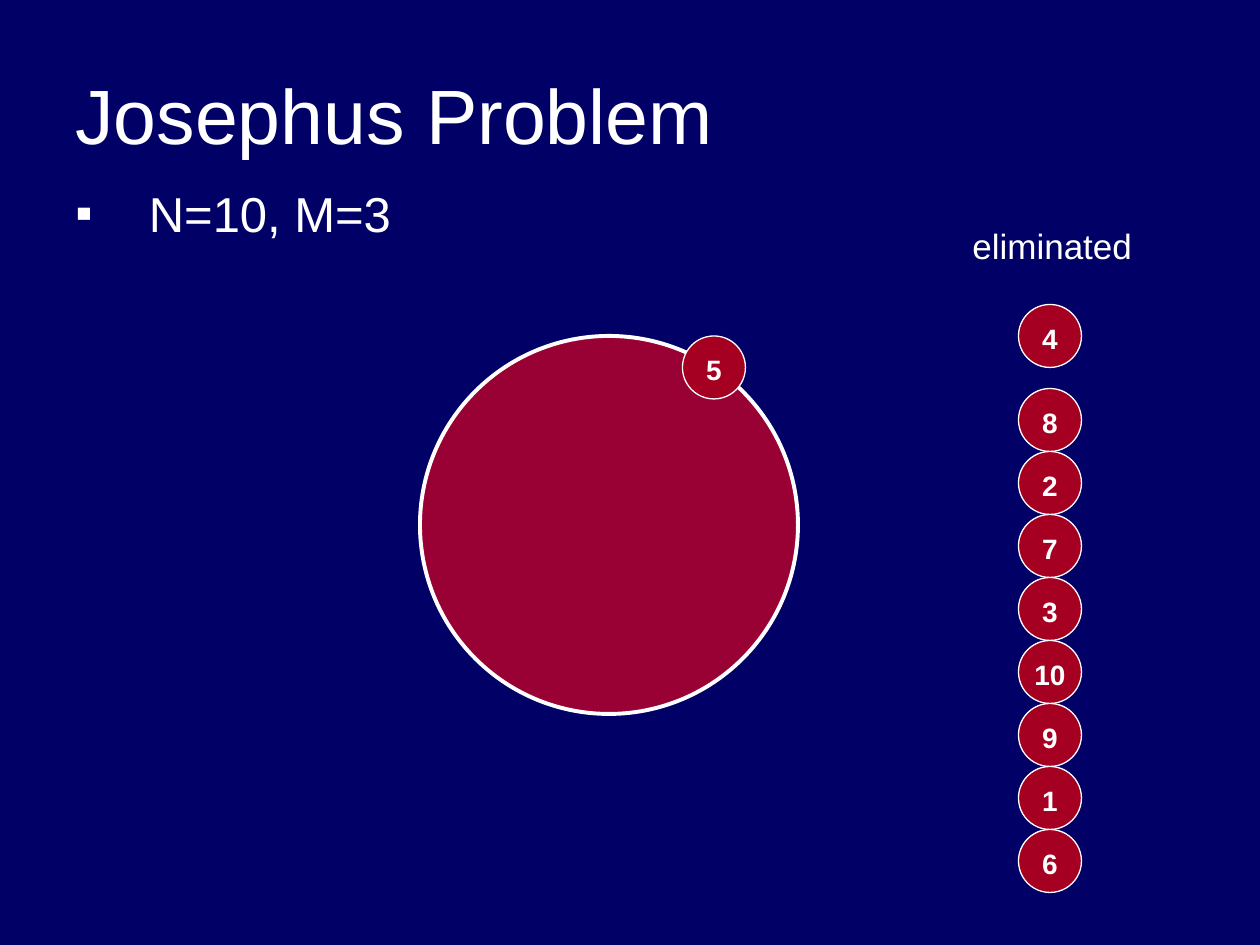
from lxml.etree import SubElement
from pptx import Presentation
from pptx.dml.color import RGBColor
from pptx.enum.shapes import MSO_SHAPE as Shape
from pptx.enum.text import MSO_ANCHOR as Anchor, MSO_AUTO_SIZE as AutoSize, PP_ALIGN as Align
from pptx.oxml.ns import qn
from pptx.util import Pt

NAVY, WHITE, MAROON, RED = "000066", "FFFFFF", "990033", "A50021"

TITLE = "Josephus Problem"
PARAMETERS = "N=10, M=3"
COLUMN_LABEL = "eliminated"
SURVIVOR = "5"
ELIMINATED = ["4", "8", "2", "7", "3", "10", "9", "1", "6"]

DISC = 36
RING = (240, 192, 216)
SURVIVOR_AT = (390, 192)
COLUMN_LEFT, FIRST_TOP, STACK_TOP = 582, 174, 222
HANGING = 42


def color(value):
    return RGBColor.from_string(value)


def add_circle(shapes, left, top, size, fill, line_width):
    s = shapes.add_shape(Shape.OVAL, Pt(left), Pt(top), Pt(size), Pt(size))
    s.shadow.inherit = False
    s.fill.solid()
    s.fill.fore_color.rgb = color(fill)
    s.line.color.rgb = color(WHITE)
    s.line.width = Pt(line_width)


def add_text(shapes, text, box, size, bold=False, frame=None, paragraph=None):
    """Add a one-line text box and return its paragraph."""
    tf = shapes.add_textbox(*map(Pt, box)).text_frame
    p = tf.paragraphs[0]
    r = p.add_run()
    r.text = text
    r.font.color.rgb = color(WHITE)
    formats = [
        (tf, {"word_wrap": True, **(frame or {})}),
        (p, paragraph or {}),
        (r.font, {"name": "Arial", "size": Pt(size), "bold": bold}),
    ]
    for target, values in formats:
        for name, value in values.items():
            setattr(target, name, value)
    return p


def add_bullet(p, char, indent):
    pPr = p._p.get_or_add_pPr()
    pPr.set("marL", str(Pt(indent)))
    pPr.set("indent", str(-Pt(indent)))
    clr = SubElement(pPr, qn("a:buClr"))
    SubElement(clr, qn("a:srgbClr"), val=WHITE)
    SubElement(pPr, qn("a:buFont"), typeface="Arial")
    SubElement(pPr, qn("a:buChar"), char=char)


def add_person(slide, number, left, top):
    group = slide.shapes.add_group_shape()
    add_circle(group.shapes, left, top, DISC, RED, 0.75)
    add_text(group.shapes, number, (left, top + 6, DISC, 26.6), 16, bold=True,
             frame={"auto_size": AutoSize.SHAPE_TO_FIT_TEXT},
             paragraph={"alignment": Align.CENTER, "space_before": Pt(10)})


def main():
    prs = Presentation()
    prs.slide_width, prs.slide_height = Pt(720), Pt(540)
    slide = prs.slides.add_slide(prs.slide_layouts[6])
    slide.background.fill.solid()
    slide.background.fill.fore_color.rgb = color(NAVY)

    add_circle(slide.shapes, *RING, MAROON, 2.25)
    add_text(slide.shapes, TITLE, (36, 28.8, 648, 72), 44,
             frame={"vertical_anchor": Anchor.MIDDLE})
    p = add_text(slide.shapes, PARAMETERS, (36, 108, 648, 48), 28,
                 paragraph={"line_spacing": 0.8, "space_before": Pt(7)})
    add_bullet(p, "▪", HANGING)

    add_person(slide, SURVIVOR, *SURVIVOR_AT)
    tops = [FIRST_TOP] + [STACK_TOP + DISC * i for i in range(len(ELIMINATED) - 1)]
    for number, top in zip(ELIMINATED, tops):
        add_person(slide, number, COLUMN_LEFT, top)

    add_text(slide.shapes, COLUMN_LABEL, (548.4, 124.5, 105.8, 31.5), 20,
             frame={"word_wrap": False, "auto_size": AutoSize.SHAPE_TO_FIT_TEXT},
             paragraph={"alignment": Align.CENTER})
    prs.save("out.pptx")


if __name__ == "__main__":
    main()
